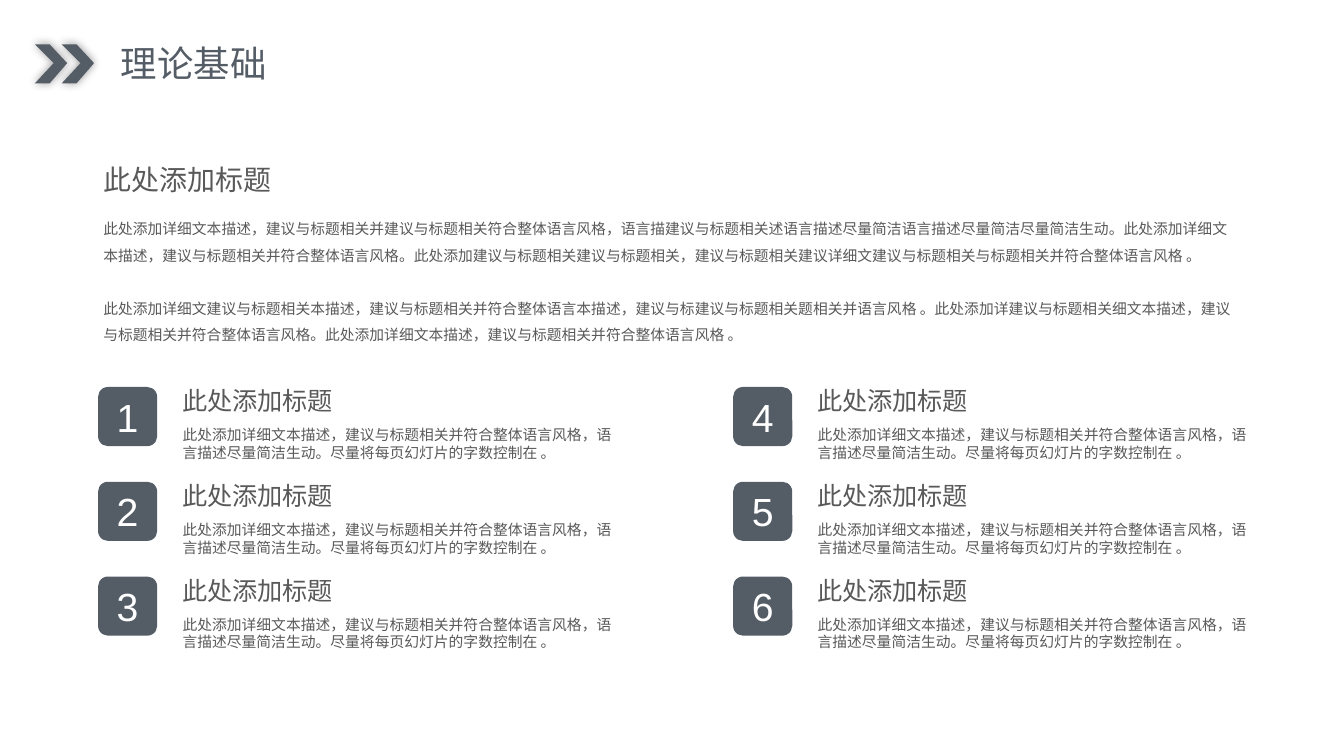
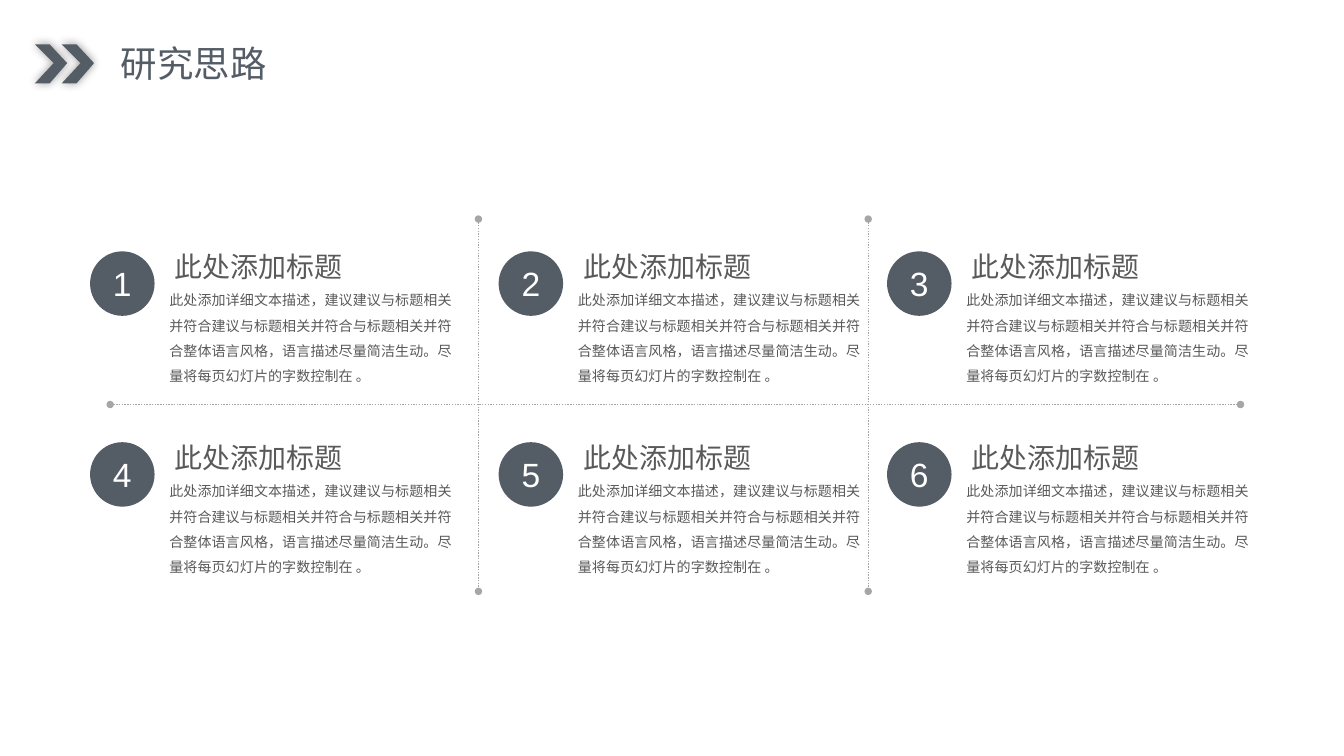
from dataclasses import dataclass

from lxml.etree import SubElement
from pptx import Presentation
from pptx.dml.color import RGBColor
from pptx.enum.dml import MSO_LINE
from pptx.enum.shapes import MSO_CONNECTOR, MSO_SHAPE
from pptx.enum.text import MSO_ANCHOR, MSO_AUTO_SIZE, PP_ALIGN
from pptx.oxml.ns import qn
from pptx.slide import Slide
from pptx.util import Inches, Pt

SLATE = RGBColor(0x54, 0x5C, 0x66)
TEXT_GREY = RGBColor(0x59, 0x59, 0x59)
LINE_GREY = RGBColor(0xA6, 0xA6, 0xA6)
WHITE = RGBColor(0xFF, 0xFF, 0xFF)
CJK_FONT = "Noto Sans CJK SC"
DIGIT_FONT = "Arial"

ITEM_TITLE = "此处添加标题"
THEORY_PARAGRAPHS = (
    "此处添加详细文本描述，建议与标题相关并建议与标题相关符合整体语言风格，语言描建议与标题相关述语言描述尽量简洁语言描述"
    "尽量简洁尽量简洁生动。此处添加详细文本描述，建议与标题相关并符合整体语言风格。此处添加建议与标题相关建议与标题相关，"
    "建议与标题相关建议详细文建议与标题相关与标题相关并符合整体语言风格 。",
    "此处添加详细文建议与标题相关本描述，建议与标题相关并符合整体语言本描述，建议与标建议与标题相关题相关并语言风格 。"
    "此处添加详建议与标题相关细文本描述，建议与标题相关并符合整体语言风格。此处添加详细文本描述，建议与标题相关并符合整体语言风格 。",
)
THEORY_ITEM_TEXT = (
    "此处添加详细文本描述，建议与标题相关并符合整体语言风格，语言描述尽量简洁生动。尽量将每页幻灯片的字数控制在 。"
)
IDEA_ITEM_TEXT = (
    "此处添加详细文本描述，建议建议与标题相关并符合建议与标题相关并符合与标题相关并符合整体语言风格，"
    "语言描述尽量简洁生动。尽量将每页幻灯片的字数控制在 。"
)


@dataclass(frozen=True)
class TextStyle:
    size: float
    color: RGBColor = TEXT_GREY
    font: str = CJK_FONT
    line_spacing: float | None = None
    space_between: float = 0
    align: PP_ALIGN | None = None
    wrap: bool = True
    grow: bool = True
    inset: float | None = None


@dataclass(frozen=True)
class Area:
    """A rectangle in inches; inside an ItemStyle it is relative to the badge."""

    left: float
    top: float
    width: float
    height: float

    def moved(self, dx: float, dy: float) -> "Area":
        return Area(self.left + dx, self.top + dy, self.width, self.height)

    def lengths(self) -> tuple[int, ...]:
        return tuple(Inches(n) for n in (self.left, self.top, self.width, self.height))


@dataclass(frozen=True)
class ItemStyle:
    badge_shape: MSO_SHAPE
    badge_size: float
    digit: TextStyle
    title_area: Area
    title: TextStyle
    body_area: Area
    body: TextStyle
    body_text: str


def digit_style(size: float) -> TextStyle:
    return TextStyle(size, WHITE, DIGIT_FONT, align=PP_ALIGN.CENTER)


PAGE_TITLE = TextStyle(19.5, SLATE, wrap=False)
HEADING = TextStyle(15)
THEORY_BODY = TextStyle(7.9, line_spacing=1.5, space_between=14.2)
THEORY_ITEM = ItemStyle(
    MSO_SHAPE.ROUNDED_RECTANGLE, 0.44, digit_style(21),
    Area(0.53, -0.06, 1.34, 0.33), TextStyle(13.5, wrap=False),
    Area(0.53, 0.24, 3.42, 0.37), TextStyle(7.9), THEORY_ITEM_TEXT,
)
IDEA_ITEM = ItemStyle(
    MSO_SHAPE.OVAL, 0.48, digit_style(18),
    Area(0.53, -0.06, 1.77, 0.35), HEADING,
    Area(0.59, 0.24, 2.15, 0.41),
    TextStyle(7.5, line_spacing=1.5, grow=False, inset=0), IDEA_ITEM_TEXT,
)


def write(frame, style: TextStyle, *texts: str) -> None:
    for index, text in enumerate(texts):
        para = frame.paragraphs[0] if index == 0 else frame.add_paragraph()
        para.text = text
        para.alignment = style.align
        para.line_spacing = style.line_spacing
        if index:
            para.space_before = Pt(style.space_between)
        para.font.size = Pt(style.size)
        para.font.color.rgb = style.color
        para.font.name = style.font
        defaults = para._p.pPr.find(qn("a:defRPr"))
        SubElement(defaults, qn("a:ea")).set("typeface", style.font)


def add_text(page: Slide, area: Area, style: TextStyle, *texts: str) -> None:
    frame = page.shapes.add_textbox(*area.lengths()).text_frame
    frame.word_wrap = style.wrap
    frame.auto_size = MSO_AUTO_SIZE.SHAPE_TO_FIT_TEXT if style.grow else MSO_AUTO_SIZE.NONE
    if style.inset is not None:
        frame.margin_left = frame.margin_right = Inches(style.inset)
        frame.margin_top = frame.margin_bottom = Inches(style.inset)
    write(frame, style, *texts)


def add_soft_shadow(shape) -> None:
    effects = SubElement(shape._element.spPr, qn("a:effectLst"))
    shadow = SubElement(effects, qn("a:outerShdw"), blurRad=str(Pt(5)), dist="0", dir="0")
    color = SubElement(shadow, qn("a:srgbClr"), val="000000")
    SubElement(color, qn("a:alpha"), val="40000")


def add_chevrons(page: Slide) -> None:
    group = page.shapes.add_group_shape()
    for left in (0.46, 0.26):
        outline = [
            (Inches(left + x), Inches(y))
            for x, y in ((0.14, 0.47), (0, 0.62), (0.11, 0.62), (0.24, 0.47), (0.11, 0.33), (0, 0.33))
        ]
        builder = group.shapes.build_freeform(*outline[0])
        builder.add_line_segments(outline[1:], close=True)
        chevron = builder.convert_to_shape()
        chevron.fill.solid()
        chevron.fill.fore_color.rgb = SLATE
        chevron.line.fill.background()
        add_soft_shadow(chevron)


def add_page(deck, title: str) -> Slide:
    page = deck.slides.add_slide(deck.slide_layouts[6])
    add_chevrons(page)
    add_text(page, Area(0.8, 0.26, 1.3, 0.43), PAGE_TITLE, title)
    return page


def add_item(page: Slide, number: int, left: float, top: float, style: ItemStyle) -> None:
    area = Area(left, top, style.badge_size, style.badge_size)
    badge = page.shapes.add_shape(style.badge_shape, *area.lengths())
    badge.shadow.inherit = False
    badge.fill.solid()
    badge.fill.fore_color.rgb = SLATE
    badge.line.fill.background()
    badge.text_frame.vertical_anchor = MSO_ANCHOR.MIDDLE
    write(badge.text_frame, style.digit, str(number))
    add_text(page, style.title_area.moved(left, top), style.title, ITEM_TITLE)
    add_text(page, style.body_area.moved(left, top), style.body, style.body_text)


def add_divider(page: Slide, x1: float, y1: float, x2: float, y2: float) -> None:
    """Draw a dotted line with a small round dot at each end."""
    ends = (Inches(n) for n in (x1, y1, x2, y2))
    divider = page.shapes.add_connector(MSO_CONNECTOR.STRAIGHT, *ends)
    divider.line.color.rgb = LINE_GREY
    divider.line.width = Pt(0.75)
    divider.line.dash_style = MSO_LINE.ROUND_DOT
    outline = divider.line._get_or_add_ln()
    for end in ("a:headEnd", "a:tailEnd"):
        SubElement(outline, qn(end), type="oval", w="sm", len="sm")
    SubElement(divider._element.spPr, qn("a:effectLst"))


def add_theory_page(deck) -> None:
    page = add_page(deck, "理论基础")
    add_text(page, Area(0.67, 1.16, 2.23, 0.35), HEADING, ITEM_TITLE)
    add_text(page, Area(0.67, 1.52, 8.62, 1.1), THEORY_BODY, *THEORY_PARAGRAPHS)
    for index in range(6):
        column, row = divmod(index, 3)
        add_item(page, index + 1, 0.73 + 9.45 * column / 2, 2.88 + 1.41 * row / 2, THEORY_ITEM)


def add_idea_page(deck) -> None:
    page = add_page(deck, "研究思路")
    add_divider(page, 0.82, 3.01, 9.23, 3.01)
    for x in (3.56, 6.46):
        add_divider(page, x, 1.63, x, 4.4)
    column_lefts = (0.67, 3.71, 6.6)
    for index in range(6):
        row, column = divmod(index, 3)
        add_item(page, index + 1, column_lefts[column], 1.87 + 1.42 * row, IDEA_ITEM)


def main() -> None:
    deck = Presentation()
    deck.slide_width = Inches(10)
    deck.slide_height = Inches(10 * 9 / 16)
    add_theory_page(deck)
    add_idea_page(deck)
    deck.save("out.pptx")


if __name__ == "__main__":
    main()
